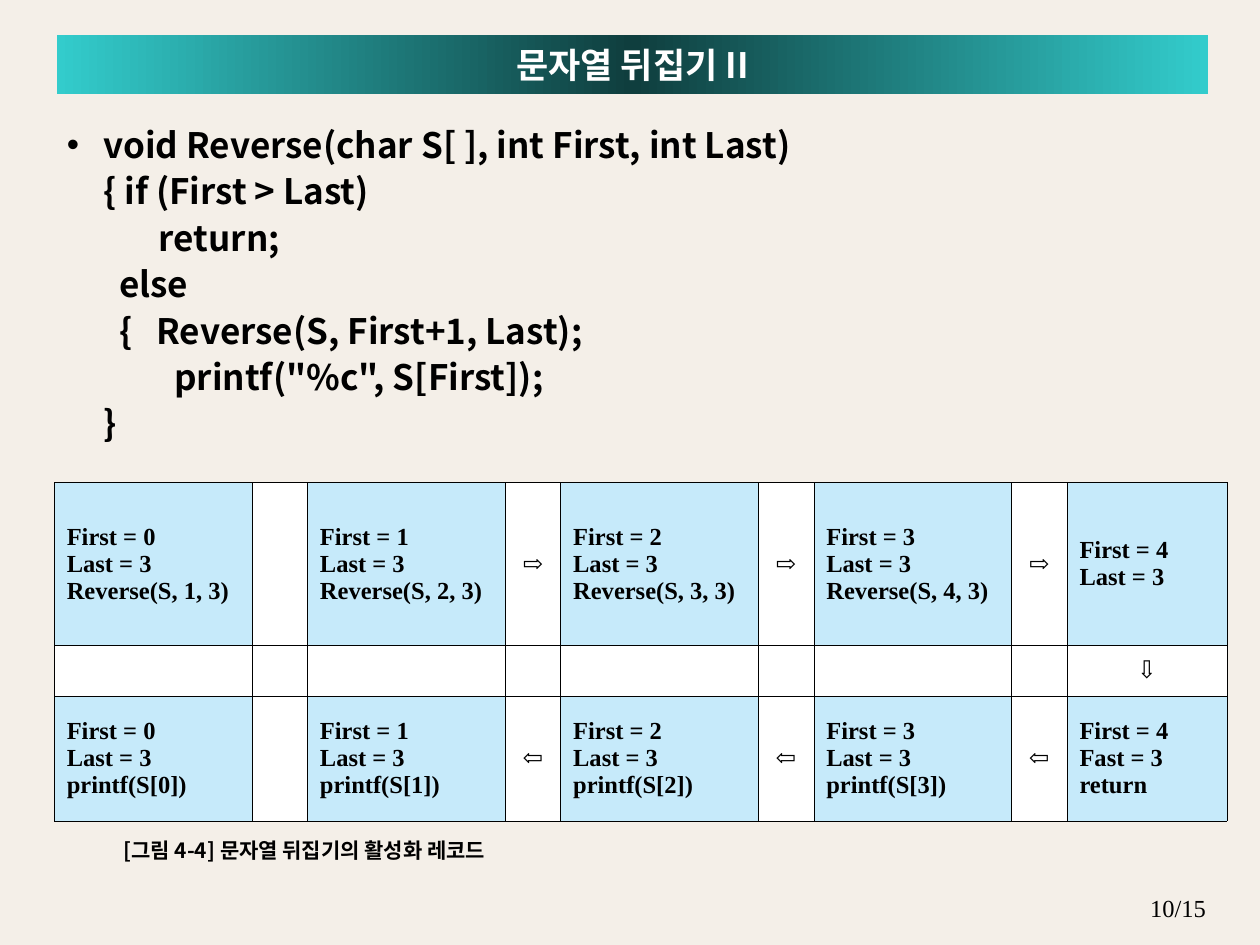
from typing import NamedTuple

from lxml.etree import SubElement
from pptx import Presentation
from pptx.dml.color import RGBColor
from pptx.enum.text import MSO_ANCHOR, MSO_AUTO_SIZE, PP_ALIGN
from pptx.oxml import parse_xml
from pptx.oxml.ns import nsdecls, qn
from pptx.util import Inches, Pt

BACKGROUND = RGBColor(0xF4, 0xEF, 0xE8)
BLACK = RGBColor(0, 0, 0)
WHITE = RGBColor(0xFF, 0xFF, 0xFF)
RECORD_BLUE = RGBColor(0xC6, 0xEA, 0xFA)
TEAL = RGBColor(0x33, 0xCC, 0xCC)
DARK_TEAL = RGBColor(0x0F, 0x3E, 0x3E)

SANS = "Noto Sans CJK KR"
SERIF = "Times New Roman"

CODE = [
    "void Reverse(char S[ ], int First, int Last)",
    "{ if (First > Last)",
    "       return;",
    "  else",
    "  {   Reverse(S, First+1, Last);",
    "\t printf(\"%c\", S[First]);",
    "}",
]


class Box(NamedTuple):
    left: float
    top: float
    width: float
    height: float


class Record(NamedTuple):
    """An activation record: its call on the way in and on the way back."""
    first: int
    call: str
    back: str
    back_label: str = "Last"


RECORDS = [Record(i, f"Reverse(S, {i + 1}, 3)", f"printf(S[{i}])") for i in range(4)]
RECORDS.append(Record(4, "", "return", "Fast"))


def place(shape, box: Box) -> None:
    shape.left, shape.top, shape.width, shape.height = map(Inches, box)


def format_runs(p, size: float, font: str, color: RGBColor = BLACK, bold: bool = True) -> None:
    for r in p.runs:
        r.font.size = Pt(size)
        r.font.name = font
        r.font.bold = bold
        r.font.color.rgb = color
        SubElement(r.font._element, qn("a:ea")).set("typeface", font)


def add_label(s, box: Box, text: str):
    """Add a one-line text box and return its text frame."""
    tb = s.shapes.add_textbox(*map(Inches, box))
    tf = tb.text_frame
    tf.word_wrap = True
    tf.text = text
    return tf


def draw_title(title) -> None:
    place(title, Box(0.45, 0.28, 9.14, 0.47))
    title.fill.gradient()
    title.fill.gradient_angle = 0
    stops = title._element.spPr.find(qn("a:gradFill")).find(qn("a:gsLst"))
    for stop in list(stops):
        stops.remove(stop)
    for percent, color in ((0, TEAL), (50, DARK_TEAL), (100, TEAL)):
        stop = SubElement(stops, qn("a:gs"), pos=str(percent * 1000))
        SubElement(stop, qn("a:srgbClr"), val=str(color))
    tf = title.text_frame
    tf.text = "문자열 뒤집기 II"
    tf.auto_size = MSO_AUTO_SIZE.NONE
    tf.vertical_anchor = MSO_ANCHOR.MIDDLE
    tf.paragraphs[0].alignment = PP_ALIGN.CENTER
    format_runs(tf.paragraphs[0], 20, SANS, WHITE)


def draw_code(body) -> None:
    place(body, Box(0.43, 0.91, 9.21, 6.14))
    tf = body.text_frame
    tf.auto_size = MSO_AUTO_SIZE.NONE
    for i, line in enumerate(CODE):
        p = tf.paragraphs[0] if i == 0 else tf.add_paragraph()
        p.text = line
        pPr = p._p.get_or_add_pPr()
        pPr.set("marL", str(Inches(0.29)))
        pPr.set("indent", str(0 if i else -Inches(0.29)))
        if i:
            SubElement(pPr, qn("a:buNone"))
        else:
            color = SubElement(pPr, qn("a:buClr"))
            SubElement(color, qn("a:srgbClr"), val=str(BLACK))
            SubElement(pPr, qn("a:buChar"), char="•")
        p.space_before = Pt(1 if i else 0)
        p.line_spacing = Pt(25.5)
        format_runs(p, 20, SANS)


def fill_cell(cell, lines: list[str], color: RGBColor, align: PP_ALIGN) -> None:
    cell.fill.solid()
    cell.fill.fore_color.rgb = color
    cell.vertical_anchor = MSO_ANCHOR.MIDDLE
    tcPr = cell._tc.get_or_add_tcPr()
    for i, side in enumerate(("lnL", "lnR", "lnT", "lnB")):
        tcPr.insert(i, parse_xml(
            f'<a:{side} {nsdecls("a")} w="{Pt(0.06)}"><a:solidFill>'
            f'<a:srgbClr val="{BLACK}"/></a:solidFill></a:{side}>'))
    cell.text_frame.text = "\n".join(lines)
    for p in cell.text_frame.paragraphs:
        p.alignment = align
        format_runs(p, 14, SERIF)


def draw_records(s) -> None:
    widths = [1.57, 0.44] * 4 + [1.27]
    heights = [1.29, 0.4, 0.99]
    frame = s.shapes.add_table(3, len(widths), Inches(0.43), Inches(3.83),
                               Inches(sum(widths)), Inches(sum(heights)))
    table = frame.table
    for column, width in zip(table.columns, widths):
        column.width = Inches(width)
    for row, height in zip(table.rows, heights):
        row.height = Inches(height)

    texts = {(1, 8): ["⇩"]}
    for i, rec in enumerate(RECORDS):
        call = [f"First = {rec.first}", "Last = 3", rec.call]
        texts[0, 2 * i] = [line for line in call if line]
        texts[2, 2 * i] = [f"First = {rec.first}", f"{rec.back_label} = 3", rec.back]
    for col in (3, 5, 7):
        texts[0, col] = ["⇨"]
        texts[2, col] = ["⇦"]

    for row in range(len(heights)):
        for col in range(len(widths)):
            is_record = row != 1 and col % 2 == 0
            fill_cell(table.cell(row, col), texts.get((row, col), []),
                      RECORD_BLUE if is_record else WHITE,
                      PP_ALIGN.LEFT if is_record else PP_ALIGN.CENTER)


def main() -> None:
    prs = Presentation()
    prs.slide_width, prs.slide_height = Inches(10), Inches(7.5)
    s = prs.slides.add_slide(prs.slide_layouts[1])
    s.background.fill.solid()
    s.background.fill.fore_color.rgb = BACKGROUND

    draw_code(s.placeholders[1])
    draw_title(s.shapes.title)
    draw_records(s)

    caption = add_label(s, Box(0.98, 6.59, 4.02, 0.3), "[그림 4-4] 문자열 뒤집기의 활성화 레코드")
    caption.margin_left = 0
    caption.paragraphs[0].line_spacing = Pt(15)
    format_runs(caption.paragraphs[0], 12, SANS)

    number = add_label(s, Box(8.86, 7.04, 0.81, 0.33), "10/15")
    number.paragraphs[0].alignment = PP_ALIGN.RIGHT
    format_runs(number.paragraphs[0], 14, SERIF, bold=False)

    prs.save("out.pptx")


if __name__ == "__main__":
    main()
